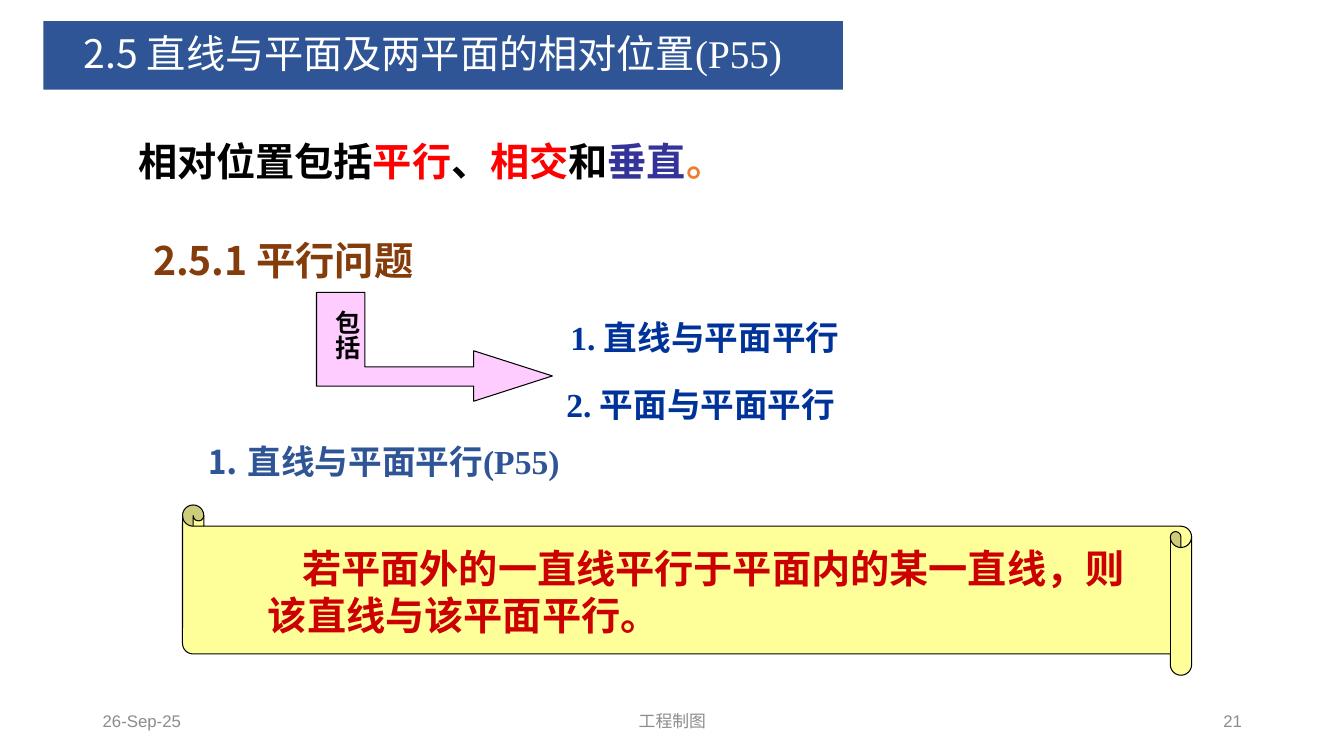
from lxml.etree import SubElement
from pptx import Presentation
from pptx.dml.color import RGBColor
from pptx.enum.shapes import MSO_SHAPE
from pptx.enum.text import MSO_ANCHOR, MSO_AUTO_SIZE, PP_ALIGN
from pptx.oxml.ns import qn
from pptx.util import Inches, Pt

WIDTH, HEIGHT = Inches(13.33), Inches(7.5)
TIMES, NOTO, ARIAL = "Times New Roman", "Noto Sans CJK SC", "Arial"
BLACK = RGBColor(0x00, 0x00, 0x00)
WHITE = RGBColor(0xFF, 0xFF, 0xFF)
RED = RGBColor(0xFF, 0x00, 0x00)
INDIGO = RGBColor(0x33, 0x33, 0x99)
ORANGE = RGBColor(0xED, 0x7D, 0x31)
BROWN = RGBColor(0x84, 0x3C, 0x0B)
NAVY = RGBColor(0x00, 0x33, 0x99)
BLUE = RGBColor(0x2F, 0x55, 0x97)
CRIMSON = RGBColor(0xCC, 0x00, 0x00)
PINK = RGBColor(0xFF, 0xCC, 0xFF)
YELLOW = RGBColor(0xFF, 0xFF, 0x99)
GREY = RGBColor(0x8C, 0x8C, 0x8C)


def x(percent):
    """Turn a percentage of the slide width into a length."""
    return round(WIDTH * percent / 100)


def y(percent):
    """Turn a percentage of the slide height into a length."""
    return round(HEIGHT * percent / 100)


def area(left, top, width, height):
    """Turn a box in slide percentages into lengths."""
    return x(left), y(top), x(width), y(height)


def add_run(p, text, size, color, font=TIMES, bold=True):
    """Append one formatted run with its East Asian font."""
    r = p.add_run()
    r.text = text
    r.font.size, r.font.bold, r.font.name = Pt(size), bold, font
    r.font.color.rgb = color
    SubElement(r.font._element, qn("a:ea"), typeface=NOTO)


def add_text(shapes, box, runs, size, font=TIMES, bold=True, align=PP_ALIGN.LEFT):
    """Add a middle-anchored text box made of (text, colour) runs."""
    sp = shapes.add_textbox(*area(*box))
    tf = sp.text_frame
    tf.word_wrap = True
    tf.vertical_anchor = MSO_ANCHOR.MIDDLE
    p = tf.paragraphs[0]
    p.alignment = align
    for text, color in runs:
        add_run(p, text, size, color, font, bold)
    return sp


def outline(sp, fill):
    """Give a shape a flat fill and a thin black line."""
    sp.shadow.inherit = False
    sp.fill.solid()
    sp.fill.fore_color.rgb = fill
    sp.line.color.rgb = BLACK
    sp.line.width = Pt(0.75)


def add_title(s):
    """Format the title placeholder as a blue banner."""
    sp = s.shapes.title
    sp.left, sp.top, sp.width, sp.height = area(3.23, 2.8, 59.48, 9.07)
    sp.fill.solid()
    sp.fill.fore_color.rgb = BLUE
    tf = sp.text_frame
    tf.auto_size = MSO_AUTO_SIZE.NONE
    tf.vertical_anchor = MSO_ANCHOR.MIDDLE
    p = tf.paragraphs[0]
    p.alignment, p.line_spacing = PP_ALIGN.LEFT, 0.9
    p._p.get_or_add_pPr().set("marL", str(Inches(0.3)))
    add_run(p, "2.5 ", 28, WHITE, NOTO, False)
    add_run(p, "直线与平面及两平面的相对位置(P55)", 28, WHITE, TIMES, False)


def add_bent_arrow(s):
    """Add the bent arrow with its vertical label."""
    shapes = s.shapes.add_group_shape().shapes
    points = [(41.1, 49.73), (35.25, 46.4), (35.25, 48.53), (27.15, 48.53),
              (27.15, 38.67), (23.55, 38.67), (23.55, 51.07), (35.25, 51.07),
              (35.25, 53.07)]
    corners = [(x(h), y(v)) for h, v in points]
    builder = shapes.build_freeform(*corners[0])
    builder.add_line_segments(corners[1:], close=True)
    outline(builder.convert_to_shape(), PINK)
    label = add_text(shapes, (23.93, 39.73, 3.75, 8.13), [("包括", BLACK)], 18)
    label.text_frame.word_wrap = False
    label.text_frame._txBody.bodyPr.set("vert", "eaVert")


def add_scroll(s):
    """Add the mirrored scroll that carries the theorem."""
    shapes = s.shapes.add_group_shape().shapes
    sp = shapes.add_shape(MSO_SHAPE.HORIZONTAL_SCROLL,
                          *area(13.58, 66.8, 75.08, 22.53))
    sp.adjustments[0] = 0.125
    sp._element.spPr.xfrm.set("flipH", "1")
    outline(sp, YELLOW)
    theorem = "若平面外的一直线平行于平面内的某一直线，则该直线与该平面平行。"
    rule = add_text(shapes, (19.2, 73.33, 65.7, 9.73), [(theorem, CRIMSON)], 28)
    p = rule.text_frame.paragraphs[0]
    p._p.get_or_add_pPr().set("indent", str(Inches(0.34)))


def add_footer(s):
    """Add the date, course name and page number."""
    for left, width, text, align in [
        (6.9, 22.5, "26-Sep-25", PP_ALIGN.LEFT),
        (33.15, 33.75, "工程制图", PP_ALIGN.CENTER),
        (70.65, 22.5, "21", PP_ALIGN.RIGHT),
    ]:
        add_text(s.shapes, (left, 92.67, width, 5.33), [(text, GREY)],
                 12, ARIAL, False, align)


def main():
    """Build and save the slide."""
    prs = Presentation()
    prs.slide_width, prs.slide_height = WIDTH, HEIGHT
    s = prs.slides.add_slide(prs.slide_layouts[5])
    add_title(s)
    add_text(s.shapes, (9.53, 17.47, 45.67, 7.6),
             [("相对位置包括", BLACK), ("平行", RED), ("、", BLACK), ("相交", RED),
              ("和", BLACK), ("垂直", INDIGO), ("。", ORANGE)], 28)
    add_text(s.shapes, (10.65, 30.53, 22.27, 7.6),
             [("2.5.1 平行问题", BROWN)], 28, NOTO)
    add_text(s.shapes, (41.7, 41.2, 21.68, 6.67), [("1. 直线与平面平行", NAVY)], 24)
    add_text(s.shapes, (41.4, 50.13, 22.43, 6.67), [("2. 平面与平面平行", NAVY)], 24)
    add_bent_arrow(s)
    add_text(s.shapes, (14.63, 57.6, 28.05, 6.67),
             [("⒈ 直线与平面平行(P55)", BLUE)], 24)
    add_scroll(s)
    add_footer(s)
    prs.save("out.pptx")


if __name__ == "__main__":
    main()
